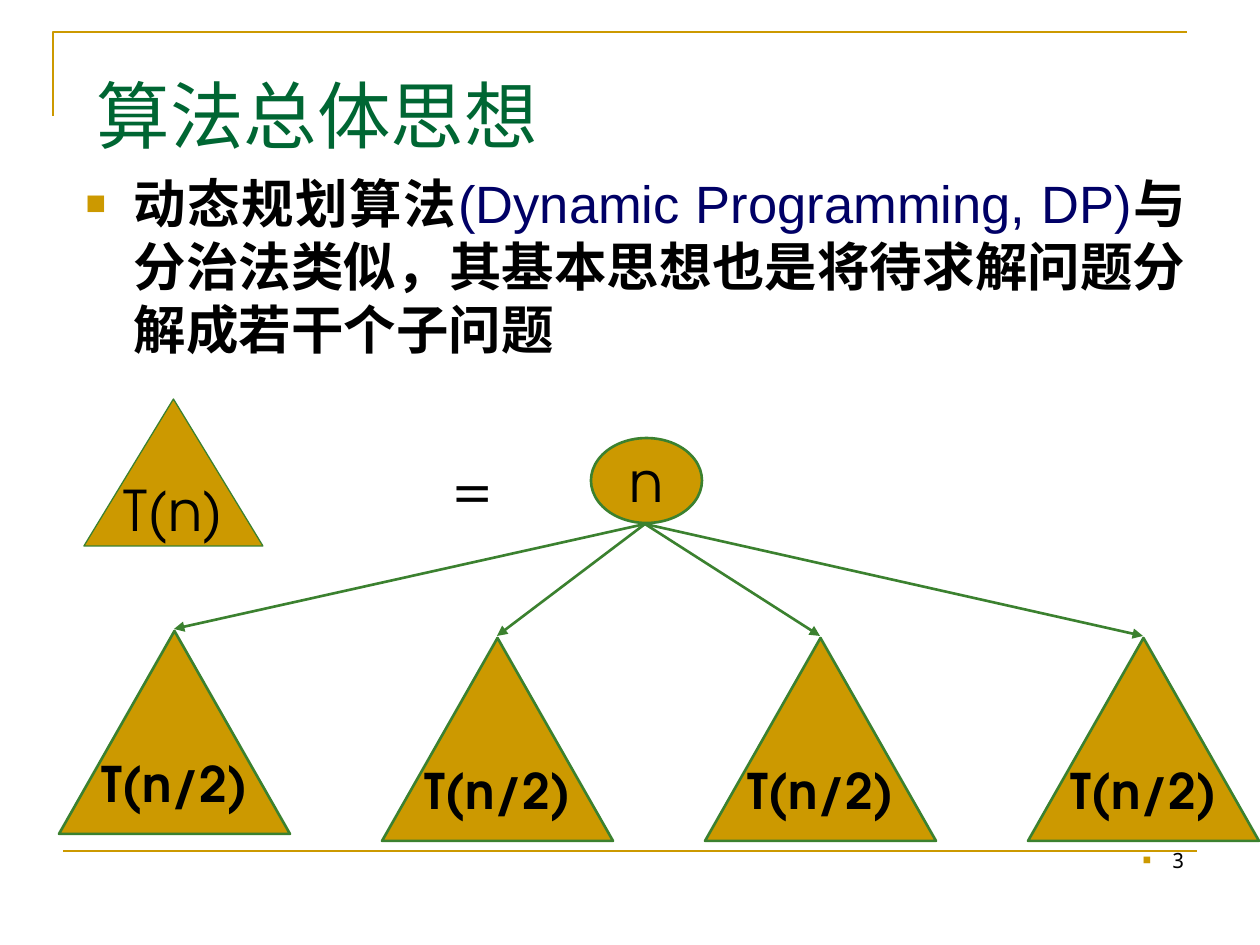
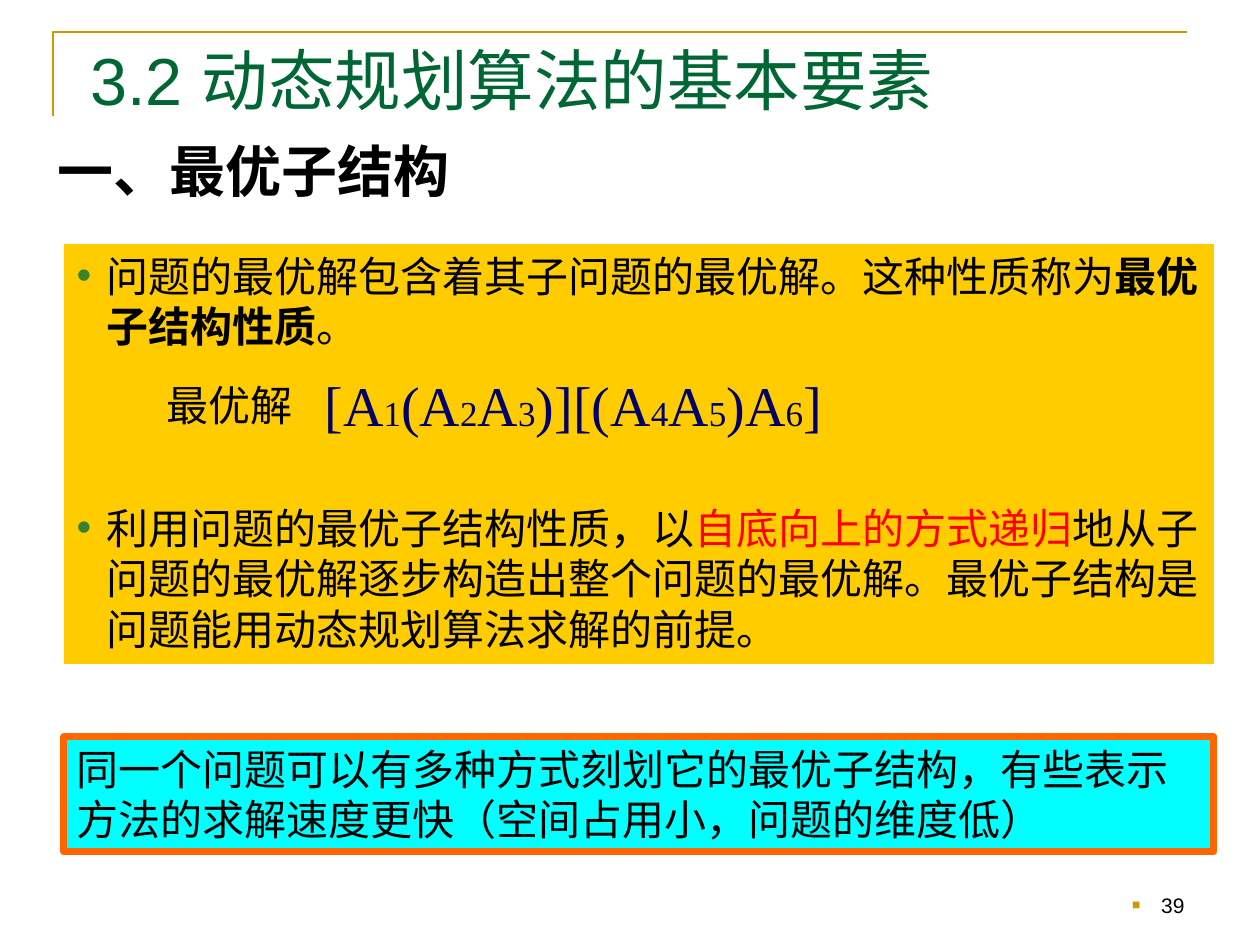
"""Build two slides on the ideas behind dynamic programming."""
from lxml import etree
from pptx import Presentation
from pptx.dml.color import RGBColor
from pptx.enum import shapes, text
from pptx.oxml import ns
from pptx.util import Emu, Pt

INK = {"gold": "CC9900", "leaf": "3B812F", "title": "006633", "navy": "000066",
       "black": "000000", "red": "FF0000", "amber": "FFCC00", "cyan": "00FFFF",
       "rust": "FF6600"}
HAN, SANS, SERIF, GEO = "Noto Sans CJK SC", "Arial", "Times New Roman", "TeX Gyre Adventor"
PX = 914400 / 126
LEAD = 1.2

SQUARE = {"char": "■", "ink": "gold", "pct": 65}
DOT = {"char": "•", "ink": "leaf", "pct": 100}

IDEA = {
    "title": "算法总体思想",
    "body": [("动态规划算法", {"face": HAN, "bold": True}),
             ("(Dynamic Programming, DP)", {"face": SANS, "ink": "navy"}),
             ("与分治法类似，其基本思想也是将待求解问题分解成若干个子问题",
              {"face": HAN, "bold": True})],
    "whole": "T(n)", "equal": "=", "root": "n",
    "parts": ["T(n/2)"] * 4,
    "page": "3",
}
BASIS = {
    "title": "3.2 动态规划算法的基本要素",
    "head": "一、最优子结构",
    "body": [
        [("问题的最优解包含着其子问题的最优解。这种性质称为", {}),
         ("最优子结构性质", {"bold": True}), ("。", {})],
        [("利用问题的最优子结构性质，以", {}), ("自底向上的方式递归", {"ink": "red"}),
         ("地从子问题的最优解逐步构造出整个问题的最优解。"
          "最优子结构是问题能用动态规划算法求解的前提。", {})],
    ],
    "label": "最优解",
    "terms": ["[A", "1", "(A", "2", "A", "3", ")][(A", "4", "A", "5", ")A", "6", "]"],
    "note": "同一个问题可以有多种方式刻划它的最优子结构，"
            "有些表示方法的求解速度更快（空间占用小，问题的维度低）",
    "page": "39",
}


def emu(*vals):
    return [Emu(round(v * PX)) for v in vals]


def rgb(name):
    return RGBColor.from_string(INK[name])


def place(shape, box):
    shape.left, shape.top, shape.width, shape.height = emu(*box)


def style(font, size=None, face=None, ink=None, bold=None):
    if size:
        font.size = Pt(size)
    if face:
        font.name = face
    if ink:
        font.color.rgb = rgb(ink)
    if bold is not None:
        font.bold = bold


def bullet(par, mark, dent):
    props = par._p.get_or_add_pPr()
    props.set("marL", str(emu(dent)[0]))
    props.set("indent", str(-emu(dent)[0]))
    tint = etree.SubElement(props, ns.qn("a:buClr"))
    etree.SubElement(tint, ns.qn("a:srgbClr"), val=INK[mark["ink"]])
    etree.SubElement(props, ns.qn("a:buSzPct"), val=str(mark["pct"] * 1000))
    etree.SubElement(props, ns.qn("a:buFont"), typeface=SANS)
    etree.SubElement(props, ns.qn("a:buChar"), char=mark["char"])


def write(shape, pars, size, face=SANS, ink="black", bold=False, align="LEFT",
          anchor="TOP", wrap=True, mark=None, dent=0, gap=0, lead=None):
    frame = shape.text_frame
    frame.auto_size = text.MSO_AUTO_SIZE.NONE
    frame.word_wrap = wrap
    frame.vertical_anchor = getattr(text.MSO_ANCHOR, anchor)
    for i, runs in enumerate(pars):
        par = frame.add_paragraph() if i else frame.paragraphs[0]
        if mark:
            bullet(par, mark, dent)
        par.alignment = getattr(text.PP_ALIGN, align)
        par.space_before = Pt(gap if i else 0)
        if lead:
            par.line_spacing = Pt(size * lead)
        style(par.font, size, face, ink, bold)
        for words, diff in [(runs, {})] if isinstance(runs, str) else runs:
            run = par.add_run()
            run.text = words
            style(run.font, **diff)
            if lead:
                props = run._r.get_or_add_rPr()
                etree.SubElement(props, ns.qn("a:ea"), typeface=HAN)


def label(slide, box, pars, size, **opts):
    write(slide.shapes.add_textbox(*emu(*box)), pars, size, **opts)


def paint(shape, fill=None, line=None, width=1.5):
    shape.shadow.inherit = False
    for part, ink in ((shape.fill, fill), (shape.line.fill, line)):
        if ink:
            part.solid()
            part.fore_color.rgb = rgb(ink)
        else:
            part.background()
    if line:
        shape.line.width = Pt(width)


def node(slide, kind, box, words, size, bold=False, width=1.5):
    shape = slide.shapes.add_shape(getattr(shapes.MSO_SHAPE, kind), *emu(*box))
    paint(shape, "gold", "leaf", width)
    write(shape, [words], size, GEO, bold=bold, align="CENTER", anchor="MIDDLE", wrap=False)


def link(slide, start, end, ink, arrow=False):
    line = slide.shapes.add_connector(shapes.MSO_CONNECTOR.STRAIGHT, *emu(*start, *end))
    line.line.color.rgb = rgb(ink)
    line.line.width = Pt(1.5)
    if arrow:
        etree.SubElement(line.line._get_or_add_ln(), ns.qn("a:tailEnd"), type="triangle")
    etree.SubElement(line._element.spPr, ns.qn("a:effectLst"))


def start(deck, data, box, size, face, anchor, foot, digit):
    slide = deck.slides.add_slide(deck.slide_layouts[1])
    pen = slide.shapes.build_freeform(53, 116, scale=PX)
    pen.add_line_segments([(53, 32), (1187, 32)], close=False)
    paint(pen.convert_to_shape(), line="gold")
    link(slide, (63, 851), (1197, 851), "gold")
    label(slide, (903, foot, 294, 63), [data["page"]], 12, face=digit, align="RIGHT",
          anchor="BOTTOM", mark=SQUARE, dent=29)
    place(slide.shapes.title, box)
    write(slide.shapes.title, [data["title"]], size, face, "title", anchor=anchor, lead=LEAD)
    return slide


def idea(deck):
    slide = start(deck, IDEA, (84, 35, 1071, 158), 42, SERIF, "MIDDLE", 816, "Noto Sans Mono")
    body = slide.placeholders[1]
    place(body, (73, 165, 1126, 567))
    write(body, [IDEA["body"]], 30, align="JUSTIFY", mark=SQUARE, dent=48, lead=LEAD)
    wide, high, step = 231, 203, 323
    node(slide, "OVAL", (591, 438, 111, 85), IDEA["root"], 32)
    for i, words in enumerate(IDEA["parts"]):
        left, top = 59 + step * i, 638 if i else 631
        link(slide, (645, 524), (left + wide // 2, top - 2), "leaf", arrow=True)
        node(slide, "ISOSCELES_TRIANGLE", (left, top, wide, high), words, 28, bold=True)
    node(slide, "ISOSCELES_TRIANGLE", (84, 399, 179, 147), IDEA["whole"], 32, width=0.75)
    label(slide, (399, 446, 147, 79), [IDEA["equal"]], 32, face=GEO, align="CENTER")


def basis(deck):
    slide = start(deck, BASIS, (78, 15, 973, 110), 38, SANS, "BOTTOM", 861, SANS)
    label(slide, (45, 130, 418, 79), [BASIS["head"]], 32, bold=True, align="CENTER",
          wrap=False, lead=LEAD)
    body = slide.placeholders[1]
    place(body, (64, 244, 1150, 420))
    body.fill.solid()
    body.fill.fore_color.rgb = rgb("amber")
    write(body, BASIS["body"], 24, mark=DOT, dent=30, gap=3 * 24 * LEAD, lead=LEAD)
    label(slide, (154, 373, 152, 63), [BASIS["label"]], 24, face=HAN, wrap=False, lead=LEAD)
    terms = [(term, {"size": 20 if i % 2 else 32}) for i, term in enumerate(BASIS["terms"])]
    label(slide, (312, 364, 527, 81), [terms], 32, face=SERIF, ink="navy", wrap=False)
    note = slide.shapes.add_shape(shapes.MSO_SHAPE.RECTANGLE, *emu(64, 737, 1150, 115))
    paint(note, "cyan", "rust", 4)
    write(note, [BASIS["note"]], 24, lead=LEAD)


def main():
    deck = Presentation()
    deck.slide_width, deck.slide_height = emu(1260, 945)
    idea(deck)
    basis(deck)
    deck.save("out.pptx")


if __name__ == "__main__":
    main()
